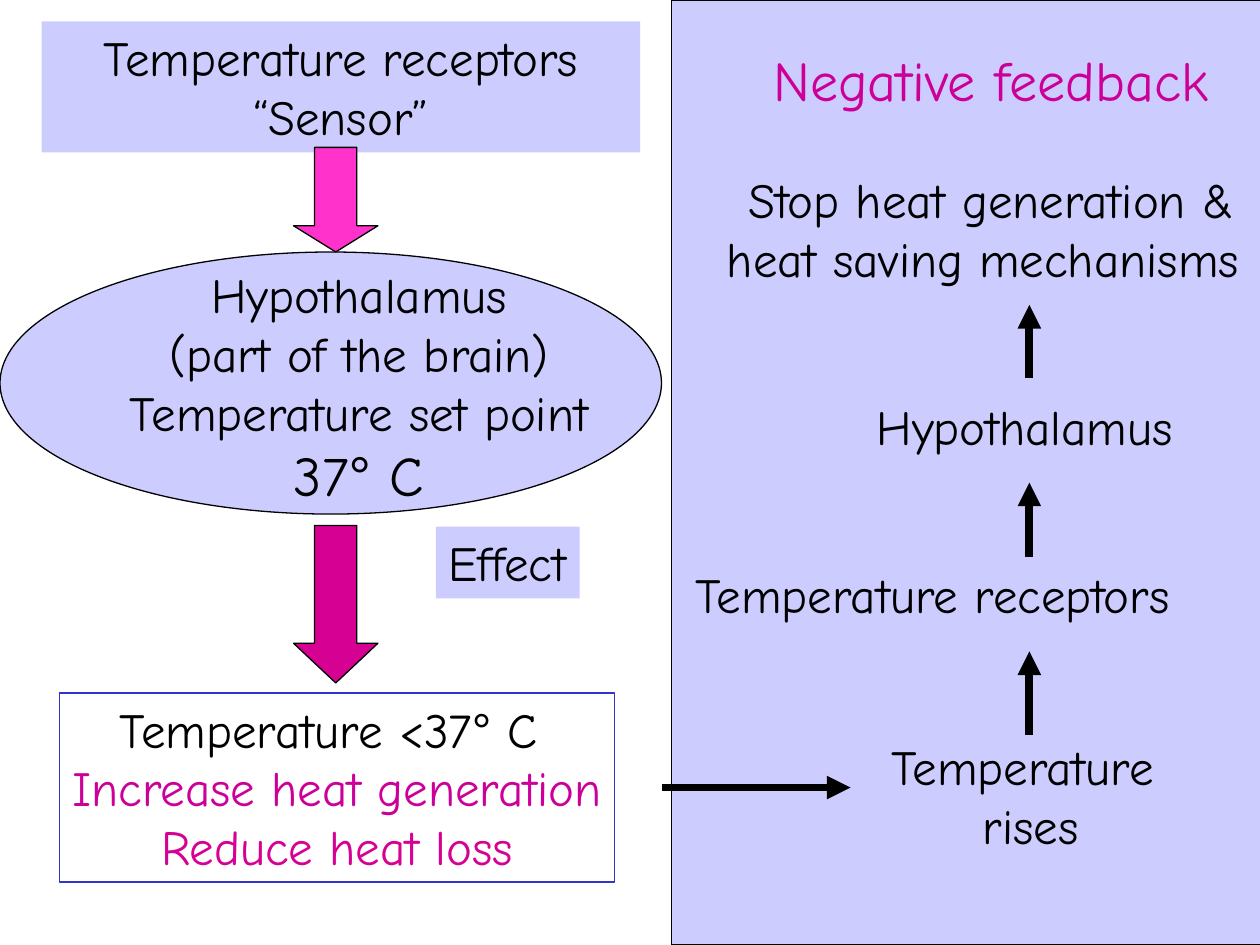
"""Build the slide on body temperature control by negative feedback."""
from lxml import etree
from pptx import Presentation
from pptx import util as u
from pptx.dml.color import RGBColor
from pptx.enum import shapes, text
from pptx.oxml.ns import qn

FONT, SYMBOL_FONT = "Comic Neue", "Arial"
BLACK, LILAC, BLUE = "000000", "CCCCFF", "3333CC"
PINK, MAGENTA, ROSE = "FF33CC", "CC0099", "D60093"
WIDTH, HEIGHT = 10, 7.5
LEFT, CENTER = text.PP_ALIGN.LEFT, text.PP_ALIGN.CENTER
KIND = shapes.MSO_SHAPE

TITLE = ("Negative feedback", 32, MAGENTA)
TITLE_AT = (6.03, 0.31, 3.67, 0.64)
# place, kind, fill, line
PANEL = ((5.33, 0, 4.75, HEIGHT), KIND.RECTANGLE, LILAC, BLACK)
BRAIN = ((0, 2, 5.25, 2.08), KIND.OVAL, LILAC, BLACK)
SENSOR = ((0.33, 0.17, 4.75, 1.04), KIND.RECTANGLE, LILAC, None)
RESPONSE = ((0.47, 5.5, 4.41, 1.5), KIND.RECTANGLE, None, BLUE)
EFFECT = ((3.46, 4.18, 1.14, 0.57), KIND.RECTANGLE, LILAC, None)

SENSOR_LINES = [("Temperature receptors", 28, BLACK), ("“Sensor”", 28, BLACK)]
RESPONSE_LINES = [
    ("Temperature <37° C ", 28, BLACK),
    ("Increase heat generation", 28, MAGENTA),
    ("Reduce heat loss", 28, ROSE),
]
EFFECT_LINES = [("Effect", 28, BLACK)]
BRAIN_LINES = [
    ("Hypothalamus", 28, BLACK),
    ("(part of the brain)", 28, BLACK),
    ("Temperature set point", 28, BLACK),
    ("37° C", 32, BLACK),
]
LABELS = [
    ((0.91, 2.05, 3.88, 2.04), CENTER, False, BRAIN_LINES),
    ((6.95, 5.8, 2.46, 1.04), CENTER, False,
     [("Temperature ", 28, BLACK), ("rises", 28, BLACK)]),
    ((5.42, 4.43, 4.58, 0.57), LEFT, True, [("Temperature receptors", 28, BLACK)]),
    ((6.86, 3.1, 2.55, 0.57), LEFT, False, [("Hypothalamus", 28, BLACK)]),
    ((5.69, 1.3, 4.35, 1.04), CENTER, False,
     [("Stop heat generation &", 28, BLACK), ("heat saving mechanisms ", 28, BLACK)]),
]
BLOCK_ARROWS = [(1.17, 0.83, 0.31, PINK), (4.17, 1.25, 0.47, ROSE)]
FEEDBACK_X = 8.17
FEEDBACK_ARROWS = [(5.83, 5.17), (4.42, 3.83), (3, 2.42)]
LINK = (5.25, 6.25, 6.75, 6.25)


def color(value):
    """Turn a hex string into a colour."""
    return RGBColor.from_string(value)


def inches(values):
    """Turn plain numbers into lengths."""
    return [u.Inches(value) for value in values]


def write(box, lines, align=CENTER, wrap=False):
    """Fill a shape with one paragraph per line."""
    frame = box.text_frame
    frame.word_wrap = wrap
    frame.auto_size = text.MSO_AUTO_SIZE.NONE
    frame.vertical_anchor = text.MSO_ANCHOR.TOP
    frame.margin_left = frame.margin_right = u.Inches(0.1)
    frame.margin_top = frame.margin_bottom = u.Inches(0.05)
    for index, (words, size, ink) in enumerate(lines):
        para = frame.add_paragraph() if index else frame.paragraphs[0]
        para.alignment = align
        para.font.size = u.Pt(size)
        para.font.name = FONT
        para.font.color.rgb = color(ink)
        for part in words.partition("°"):
            if part:
                span = para.add_run()
                span.text = part
                if part == "°":
                    span.font.name = SYMBOL_FONT


def add_box(page, place, kind, fill, line):
    """Add a preset shape with a plain fill and outline."""
    box = page.shapes.add_shape(kind, *inches(place))
    box.shadow.inherit = False
    if fill:
        box.fill.solid()
        box.fill.fore_color.rgb = color(fill)
    else:
        box.fill.background()
    if line:
        box.line.color.rgb = color(line)
        box.line.width = u.Pt(0.75)
    else:
        box.line.fill.background()
    return box


def add_arrow(page, *ends):
    """Add a thick black line with a triangular head."""
    arrow = page.shapes.add_connector(shapes.MSO_CONNECTOR.STRAIGHT, *inches(ends))
    arrow.line.color.rgb = color(BLACK)
    arrow.line.width = u.Pt(4.5)
    outline = arrow.line._get_or_add_ln()
    etree.SubElement(outline, qn("a:tailEnd"), type="triangle")
    etree.SubElement(arrow._element.spPr, qn("a:effectLst"))


def main():
    """Build and save the deck."""
    deck = Presentation()
    deck.slide_width, deck.slide_height = inches((WIDTH, HEIGHT))
    page = deck.slides.add_slide(deck.slide_layouts[5])

    title = page.shapes.title
    title.left, title.top, title.width, title.height = inches(TITLE_AT)
    write(title, [TITLE])
    panel = add_box(page, *PANEL)
    title._element.addprevious(panel._element)

    write(add_box(page, *SENSOR), SENSOR_LINES, wrap=True)
    add_box(page, *BRAIN)
    write(add_box(page, *RESPONSE), RESPONSE_LINES)
    write(add_box(page, *EFFECT), EFFECT_LINES, LEFT)
    for top, height, head, fill in BLOCK_ARROWS:
        place = (2.33, top, 0.67, height)
        arrow = add_box(page, place, KIND.DOWN_ARROW, fill, BLACK)
        arrow.adjustments[0], arrow.adjustments[1] = 0.5, head

    for place, align, wrap, lines in LABELS:
        write(page.shapes.add_textbox(*inches(place)), lines, align, wrap)
    for start, end in FEEDBACK_ARROWS:
        add_arrow(page, FEEDBACK_X, start, FEEDBACK_X, end)
    add_arrow(page, *LINK)
    deck.save("out.pptx")


if __name__ == "__main__":
    main()
